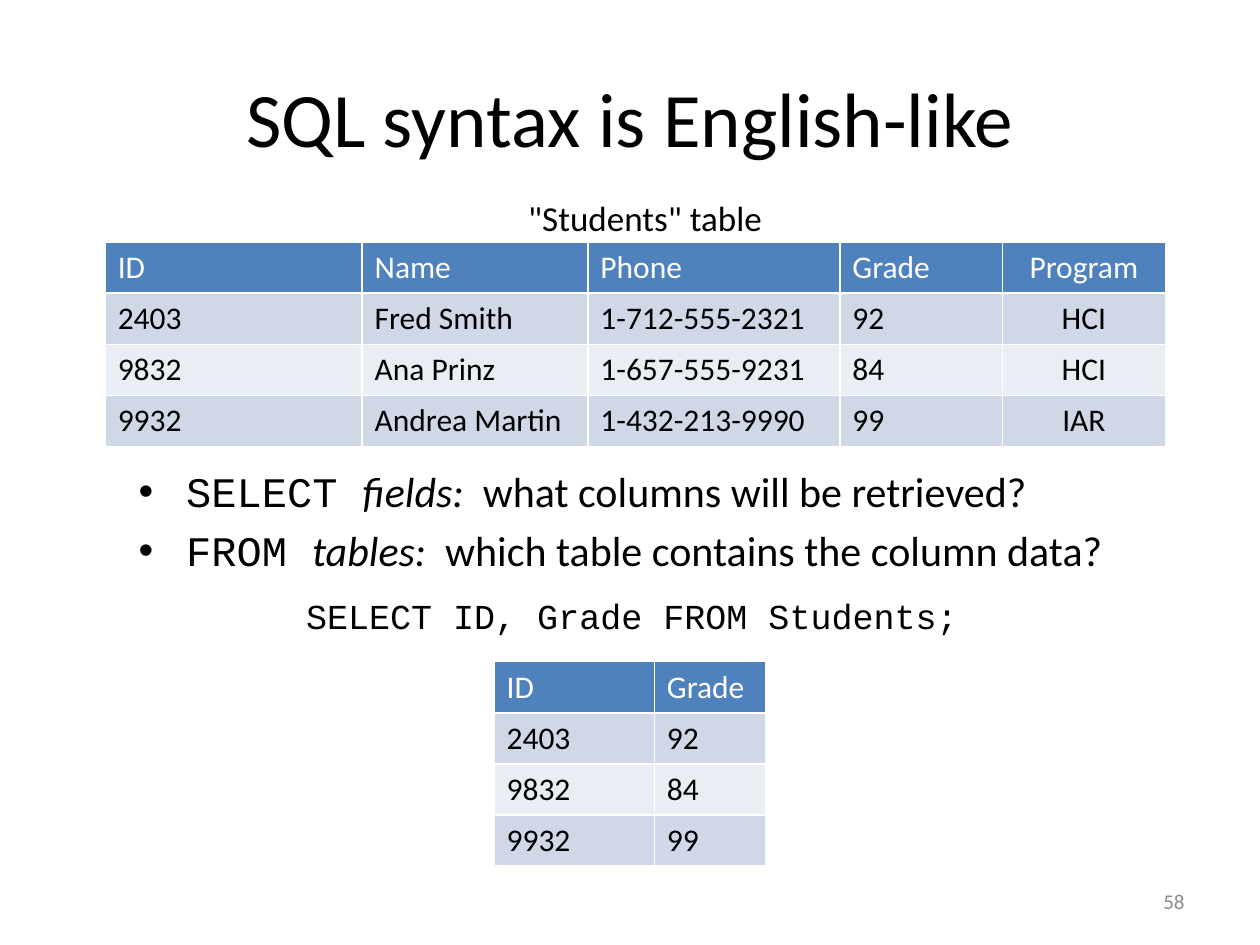
import pptx
import pptx.dml.color
import pptx.enum.text
import pptx.util

Cm = pptx.util.Cm
Pt = pptx.util.Pt
ALIGN = pptx.enum.text.PP_ALIGN
ANCHOR = pptx.enum.text.MSO_ANCHOR

THEME = {
    "sans": "Calibri", "mono": "Courier New",
    "title": 44, "bullet": 24, "label": 20, "cell": 18, "number": 12,
    "ink": "000000", "light": "FFFFFF", "muted": "8C8C8C",
    "header": "4F81BD", "bands": ("D0D8E8", "E9EDF4"),
}

TITLE = "SQL syntax is English-like"
CAPTION = '"Students" table'
QUERY = "SELECT ID, Grade FROM Students;"
PAGE = "58"
CLAUSES = [
    ("SELECT ", "fields:  ", "what columns will be retrieved?"),
    ("FROM ", "tables:  ", "which table contains the column data?"),
]
STUDENTS = [
    ("ID", "Name", "Phone", "Grade", "Program"),
    ("2403", "Fred Smith", "1-712-555-2321", "92", "HCI"),
    ("9832", "Ana Prinz", "1-657-555-9231", "84", "HCI"),
    ("9932", "Andrea Martin", "1-432-213-9990", "99", "IAR"),
]
RESULT = [(row[0], row[3]) for row in STUDENTS]
ROW_HEIGHT = 1.03


def write(paragraph, text, size="cell", font="sans", color="ink",
          align=ALIGN.LEFT, italic=False, before=0):
    paragraph.alignment = align
    paragraph.space_before = Pt(before)
    run = paragraph.add_run()
    run.text = text
    run.font.name = THEME[font]
    run.font.size = Pt(THEME[size])
    run.font.bold = False
    run.font.italic = italic
    run.font.color.rgb = pptx.dml.color.RGBColor.from_string(THEME[color])


def place(holder, left, top, width, height):
    holder.left, holder.top = Cm(left), Cm(top)
    holder.width, holder.height = Cm(width), Cm(height)


def add_label(slide, text, box, anchor=ANCHOR.TOP, **text_format):
    label = slide.shapes.add_textbox(*map(Cm, box)).text_frame
    label.word_wrap = True
    label.vertical_anchor = anchor
    write(label.paragraphs[0], text, **text_format)


def add_grid(slide, records, left, top, widths, centered=()):
    grid = slide.shapes.add_table(
        len(records), len(widths), Cm(left), Cm(top),
        Cm(sum(widths)), Cm(ROW_HEIGHT * len(records))).table
    for column, width in zip(grid.columns, widths):
        column.width = Cm(width)
    for r, record in enumerate(records):
        grid.rows[r].height = Cm(ROW_HEIGHT)
        fill = THEME["bands"][(r - 1) % 2] if r else THEME["header"]
        for c, value in enumerate(record):
            cell = grid.cell(r, c)
            cell.fill.solid()
            cell.fill.fore_color.rgb = pptx.dml.color.RGBColor.from_string(fill)
            write(cell.text_frame.paragraphs[0], value,
                  color="ink" if r else "light",
                  align=ALIGN.CENTER if c in centered else ALIGN.LEFT)


def add_clauses(body):
    place(body, 2.54, 4.01, 21.59, 12.7)
    frame = body.text_frame
    frame.auto_size = pptx.enum.text.MSO_AUTO_SIZE.NONE
    frame.margin_top = Cm(5.38)
    for i, (keyword, argument, question) in enumerate(CLAUSES):
        clause = frame.add_paragraph() if i else frame.paragraphs[0]
        properties = clause._p.get_or_add_pPr()
        properties.set("marL", str(Cm(0.96)))
        properties.set("indent", str(Cm(-0.96)))
        style = {"size": "bullet", "before": 4.8}
        write(clause, keyword, font="mono", **style)
        write(clause, argument, italic=True, **style)
        write(clause, question, **style)


def main():
    deck = pptx.Presentation()
    deck.slide_width, deck.slide_height = Cm(25.4), Cm(19.05)
    slide = deck.slides.add_slide(deck.slide_layouts[1])
    title, body = slide.placeholders

    place(title, 1.27, 0.76, 22.86, 3.18)
    title.text_frame.vertical_anchor = ANCHOR.MIDDLE
    write(title.text_frame.paragraphs[0], TITLE, size="title", align=ALIGN.CENTER)
    add_clauses(body)

    add_label(slide, PAGE, (18.2, 17.65, 5.93, 1.02), anchor=ANCHOR.MIDDLE,
              size="number", color="muted", align=ALIGN.RIGHT)
    add_label(slide, QUERY, (5.92, 11.86, 14.17, 1.47),
              size="label", font="mono", before=5.8)
    add_grid(slide, STUDENTS, 2.12, 4.88, (5.18, 4.55, 5.08, 3.28, 3.28), centered=(4,))
    add_label(slide, CAPTION, (5.92, 3.84, 14.17, 1.47),
              size="label", align=ALIGN.CENTER, before=5.8)
    add_grid(slide, RESULT, 9.96, 13.34, (3.23, 2.24))
    deck.save("out.pptx")


if __name__ == "__main__":
    main()
